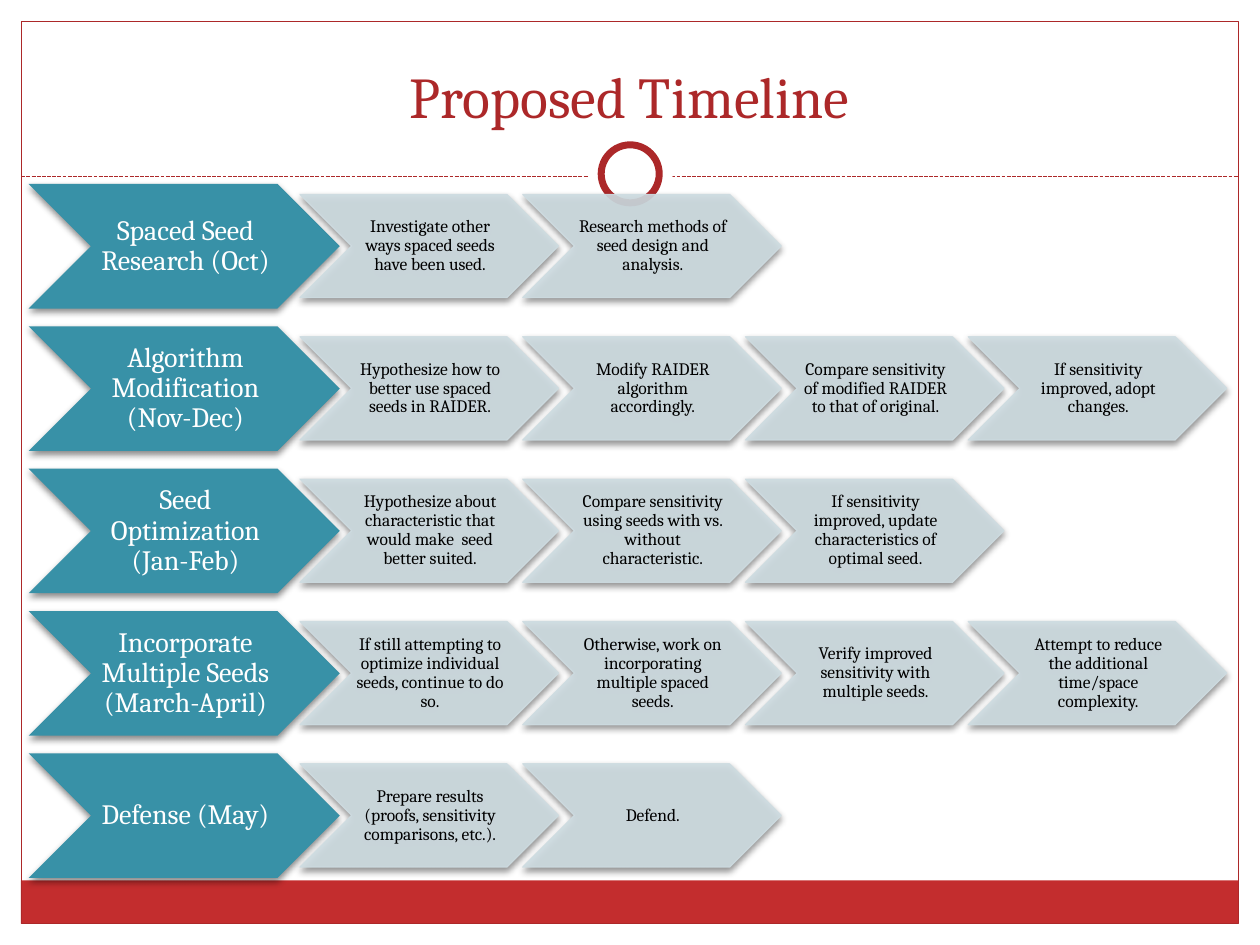
from dataclasses import dataclass
from lxml.etree import SubElement
from pptx import Presentation
from pptx.dml.color import RGBColor as Rgb
from pptx.enum.dml import MSO_LINE_DASH_STYLE as Dash
from pptx.enum.shapes import MSO_CONNECTOR as Link, MSO_SHAPE as Form
from pptx.enum.text import MSO_ANCHOR as Anchor, MSO_AUTO_SIZE as Fit, PP_ALIGN as Align
from pptx.oxml.ns import qn
from pptx.util import Cm, Pt


@dataclass(frozen=True)
class Theme:
    font: str = "Cambria"
    red: str = "AC2829"
    band: str = "C32D2E"
    teal: str = "3891A7"
    mist: str = "CEDCE1"
    white: str = "FFFFFF"
    black: str = "000000"
    head: float = 33
    lead: float = 16
    step: float = 10
    thin: float = 0.75
    ring: float = 4


@dataclass(frozen=True)
class Box:
    left: float
    top: float
    wide: float
    high: float

    def size(self) -> tuple:
        return Cm(self.left), Cm(self.top), Cm(self.wide), Cm(self.high)


@dataclass(frozen=True)
class Phase:
    name: str
    steps: tuple


@dataclass(frozen=True)
class Look:
    fill: str
    ink: str
    size: float
    inset: float
    alpha: int = 100
    line: str = ""


THEME = Theme()
LEAD = Look(THEME.teal, THEME.white, THEME.lead, 0.05)
STEP = Look(THEME.mist, THEME.black, THEME.step, 0.03, 90, THEME.mist)
FIRST = Box(0.58, 3.71, 6.27, 2.51)
NEXT = Box(6.05, 3.92, 5.21, 2.08)
DOWN = 2.87
ACROSS = 4.49

PHASES = (
    Phase("Spaced Seed Research (Oct)", (
        "Investigate other ways spaced seeds have been used.",
        "Research methods of seed design and analysis.")),
    Phase("Algorithm Modification (Nov-Dec)", (
        "Hypothesize how to better use spaced seeds in RAIDER.",
        "Modify RAIDER algorithm accordingly.",
        "Compare sensitivity of modified RAIDER to that of original.",
        "If sensitivity improved, adopt changes.")),
    Phase("Seed Optimization (Jan-Feb)", (
        "Hypothesize about characteristic that would make  seed better suited.",
        "Compare sensitivity using seeds with vs. without characteristic.",
        "If sensitivity improved, update characteristics of optimal seed.")),
    Phase("Incorporate Multiple Seeds (March-April)", (
        "If still attempting to optimize individual seeds, continue to do so.",
        "Otherwise, work on incorporating multiple spaced seeds.",
        "Verify improved sensitivity with multiple seeds.",
        "Attempt to reduce the additional time/space complexity.")),
    Phase("Defense (May)", (
        "Prepare results (proofs, sensitivity comparisons, etc.).",
        "Defend.")),
)


def write(shape, text: str, size: float, ink: str, anchor: Anchor) -> None:
    frame = shape.text_frame
    frame.text = text
    frame.word_wrap = True
    frame.auto_size = Fit.NONE
    frame.vertical_anchor = anchor
    para = frame.paragraphs[0]
    para.alignment = Align.CENTER
    font = para.runs[0].font
    font.name = THEME.font
    font.size = Pt(size)
    font.color.rgb = Rgb.from_string(ink)


def draw(slide, form: Form, box: Box, fill: str = "", line: str = "",
         width: float = THEME.thin):
    shape = slide.shapes.add_shape(form, *box.size())
    shape.shadow.inherit = False
    if fill:
        shape.fill.solid()
        shape.fill.fore_color.rgb = Rgb.from_string(fill)
    else:
        shape.fill.background()
    if line:
        shape.line.color.rgb = Rgb.from_string(line)
        shape.line.width = Pt(width)
    else:
        shape.line.fill.background()
    return shape


def fade(color, share: int) -> None:
    SubElement(color, qn("a:alpha"), val=str(share * 1000))


def shade(shape) -> None:
    effect = shape.element.spPr.find(qn("a:effectLst"))
    outer = SubElement(effect, qn("a:outerShdw"), blurRad=str(Pt(4)), dist=str(Pt(2)),
                       dir="5400000", algn="ctr", rotWithShape="0")
    fade(SubElement(outer, qn("a:srgbClr"), val=THEME.black), 45)


def arrow(slide, box: Box, text: str, look: Look) -> None:
    shape = draw(slide, Form.CHEVRON, box, look.fill, look.line)
    if look.alpha < 100:
        for color in shape.element.spPr.iter(qn("a:srgbClr")):
            fade(color, look.alpha)
    shade(shape)
    write(shape, text, look.size, look.ink, Anchor.MIDDLE)
    frame = shape.text_frame
    frame.margin_left = Cm(look.inset)
    frame.margin_right = 0
    frame.margin_top = frame.margin_bottom = Cm(0.03)
    frame.paragraphs[0].line_spacing = 0.9


def rule(slide, left: float, right: float, top: float) -> None:
    line = slide.shapes.add_connector(Link.STRAIGHT, Cm(left), Cm(top), Cm(right), Cm(top))
    line.line.color.rgb = Rgb.from_string(THEME.red)
    line.line.width = Pt(THEME.thin)
    line.line.dash_style = Dash.SQUARE_DOT
    SubElement(line.element.spPr, qn("a:effectLst"))


def frame(slide) -> None:
    draw(slide, Form.RECTANGLE, Box(0.42, 17.75, 24.54, 0.87), THEME.band)
    draw(slide, Form.RECTANGLE, Box(0.43, 0.43, 24.54, 18.19), line=THEME.red)
    rule(slide, 0.43, 24.97, 3.56)
    draw(slide, Form.OVAL, Box(11.86, 2.67, 1.7, 1.7), THEME.white)
    draw(slide, Form.OVAL, Box(12.12, 2.92, 1.17, 1.17), THEME.white, THEME.red, THEME.ring)


def title(slide, text: str) -> None:
    head = slide.shapes.title
    head.left, head.top, head.width, head.height = Box(0.84, 0.64, 23.7, 2.11).size()
    write(head, text, THEME.head, THEME.red, Anchor.BOTTOM)


def row(slide, phase: Phase, drop: float) -> None:
    arrow(slide, Box(FIRST.left, FIRST.top + drop, FIRST.wide, FIRST.high), phase.name, LEAD)
    for col, text in enumerate(phase.steps):
        box = Box(NEXT.left + col * ACROSS, NEXT.top + drop, NEXT.wide, NEXT.high)
        arrow(slide, box, text, STEP)


def main() -> None:
    deck = Presentation()
    deck.slide_width, deck.slide_height = Cm(25.4), Cm(19.05)
    slide = deck.slides.add_slide(deck.slide_layouts[5])
    frame(slide)
    title(slide, "Proposed Timeline")
    for rank, phase in enumerate(PHASES):
        row(slide, phase, rank * DOWN)
    deck.save("out.pptx")


if __name__ == "__main__":
    main()
